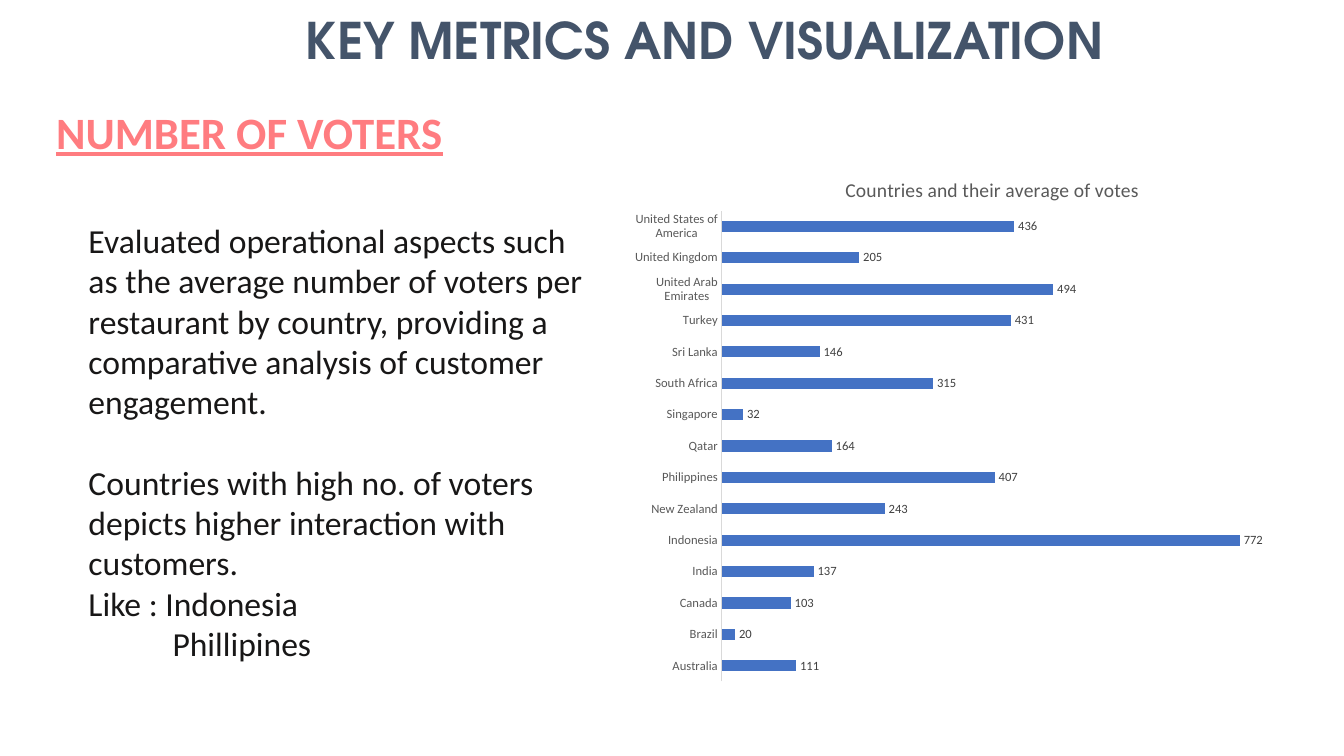
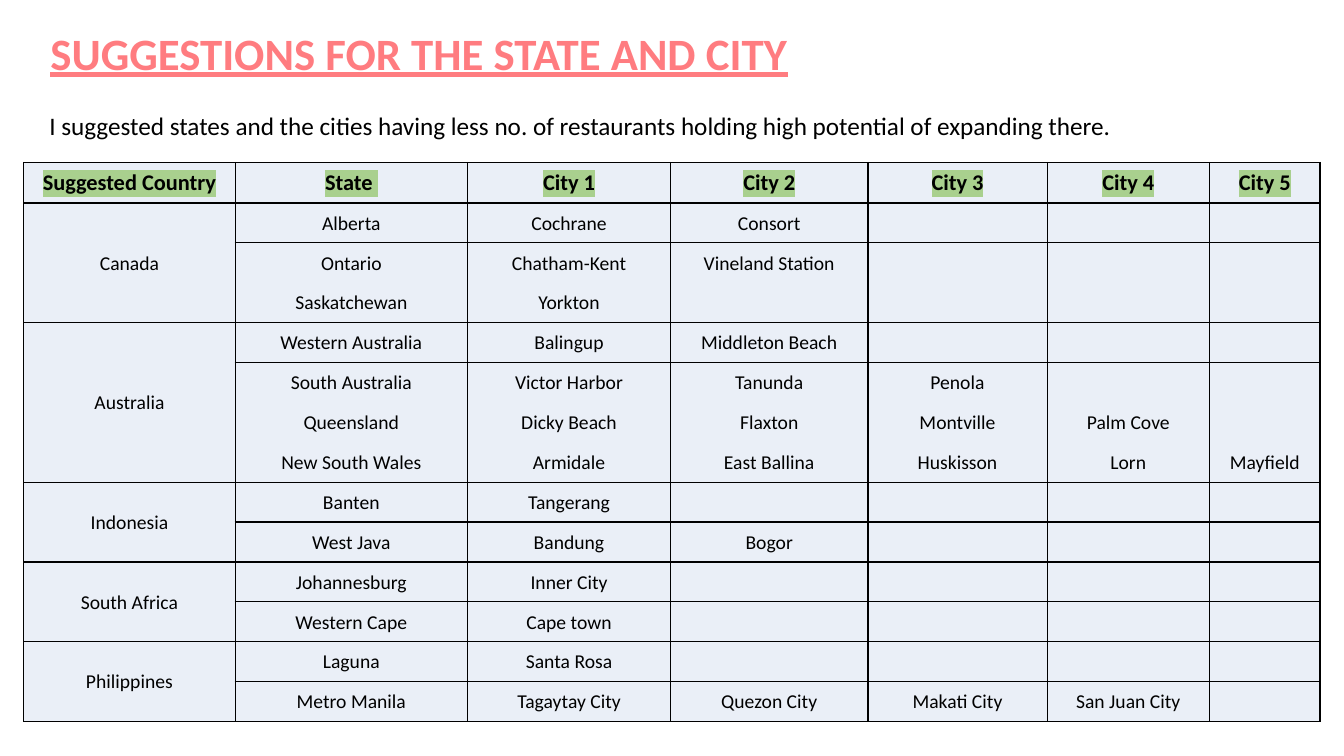
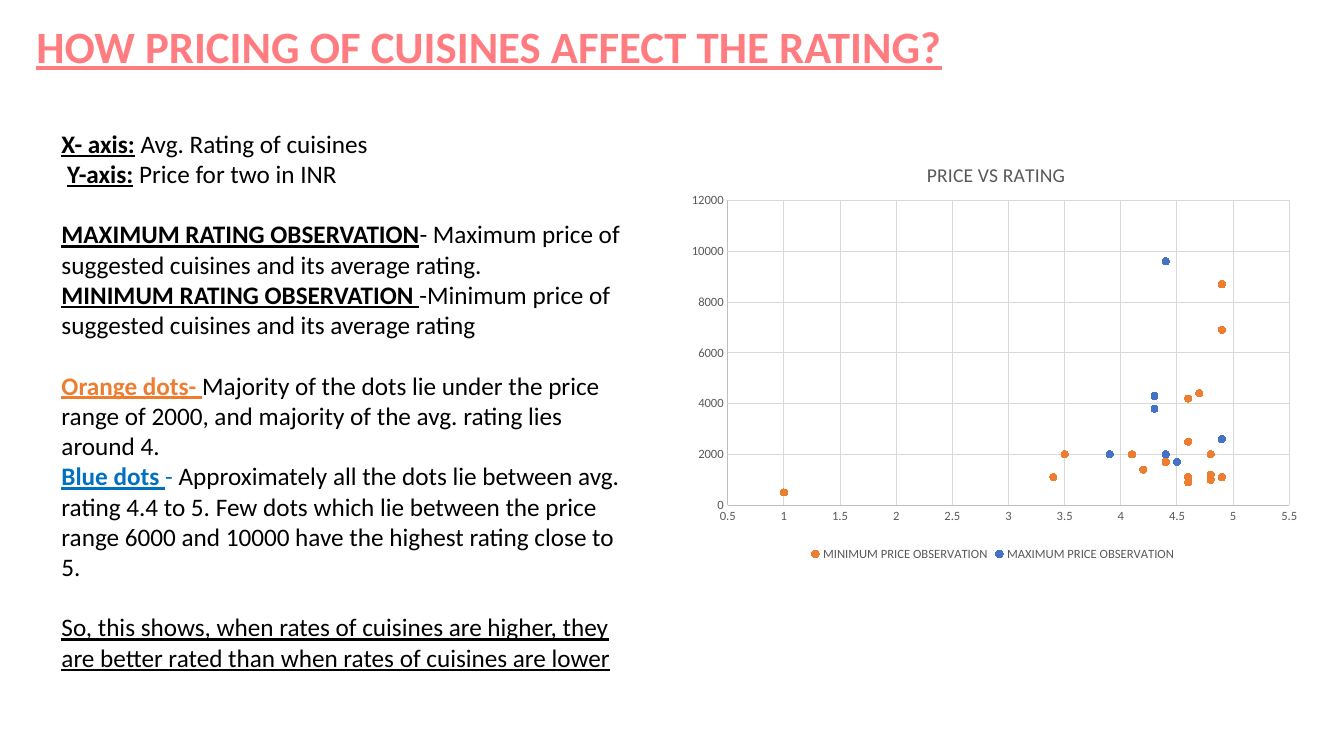
from lxml.etree import SubElement
from pptx import Presentation
from pptx.chart.data import CategoryChartData, XyChartData
from pptx.dml.color import RGBColor
from pptx.enum.chart import (XL_AXIS_CROSSES, XL_CHART_TYPE, XL_LABEL_POSITION, XL_LEGEND_POSITION,
                             XL_MARKER_STYLE, XL_TICK_MARK)
from pptx.enum.text import MSO_ANCHOR, MSO_AUTO_SIZE, PP_ALIGN
from pptx.oxml import parse_xml
from pptx.oxml.ns import nsdecls, qn
from pptx.util import Pt

COLORS = {
    "black": "000000", "ink": "181717", "navy": "44546A", "coral": "FF7C80",
    "orange": "ED7D31", "blue": "4472C4", "bright blue": "0070C0",
    "cell": "EAEFF7", "highlight": "A9D08E",
    "chart text": "595959", "label": "404040", "grid": "D9D9D9", "axis": "BFBFBF",
}
FONT = "Calibri"
DISPLAY_FONT = "TeX Gyre Adventor"
HEADING = {"size": 32, "color": "coral", "bold": True, "underline": True}
BOLD_LINE = {"bold": True, "underline": True}

VOTES = {
    "Australia": 111, "Brazil": 20, "Canada": 103, "India": 137, "Indonesia": 772,
    "New Zealand": 243, "Philippines": 407, "Qatar": 164, "Singapore": 32,
    "South Africa": 315, "Sri Lanka": 146, "Turkey": 431, "United Arab Emirates": 494,
    "United Kingdom": 205, "United States of America": 436,
}
TABLE_HEADER = ["Suggested Country", "State ", "City 1", "City 2", "City 3", "City 4", "City 5"]
SUGGESTIONS = {
    "Canada": [["Alberta", "Cochrane", "Consort"],
               ["Ontario", "Chatham-Kent", "Vineland Station"],
               ["Saskatchewan", "Yorkton"]],
    "Australia": [["Western Australia", "Balingup", "Middleton Beach"],
                  ["South Australia", "Victor Harbor", "Tanunda", "Penola"],
                  ["Queensland", "Dicky Beach", "Flaxton", "Montville", "Palm Cove"],
                  ["New South Wales", "Armidale", "East Ballina", "Huskisson", "Lorn", "Mayfield"]],
    "Indonesia": [["Banten", "Tangerang"], ["West Java", "Bandung", "Bogor"]],
    "South Africa": [["Johannesburg", "Inner City"], ["Western Cape", "Cape town"]],
    "Philippines": [["Laguna", "Santa Rosa"],
                    ["Metro Manila", "Tagaytay City", "Quezon City", "Makati City", "San Juan City"]],
}
MINIMUM_PRICES = [
    (4.4, 1700), (4.4, 1700), (4.6, 1100), (3.4, 1100), (4.1, 2000), (4.6, 4200), (4.6, 1100),
    (4.6, 900), (4.9, 1100), (3.5, 2000), (4.2, 1400), (4.7, 4400), (4.8, 1200), (4.9, 8700),
    (3.4, 1100), (1, 500), (4.6, 2500), (4.8, 2000), (4.8, 1000), (4.9, 6900)]
MAXIMUM_PRICES = [
    (4.4, 1700), (4.4, 1700), (3.9, 2000), (4.4, 9600), (4.3, 4300), (4.6, 4200), (4.6, 1100),
    (4.6, 900), (4.9, 1100), (4.9, 2600), (4.5, 1700), (4.7, 4400), (4.8, 1200), (4.9, 8700),
    (4.4, 9600), (4.4, 2000), (4.6, 2500), (4.8, 2000), (4.3, 3800), (4.9, 6900)]


# Text
def rgb(name):
    return RGBColor.from_string(COLORS[name])


def style_font(font, size, color="black", bold=False, underline=False, name=FONT):
    font.size, font.bold, font.underline, font.name = Pt(size), bold, underline, name
    font.color.rgb = rgb(color)


def add_run(paragraph, text, **style):
    run = paragraph.add_run()
    run.text = text
    style_font(run.font, **style)
    return run


def place(shape, box):
    shape.left, shape.top, shape.width, shape.height = (Pt(length) for length in box)
    frame = shape.text_frame
    frame.word_wrap = True
    frame.auto_size = MSO_AUTO_SIZE.SHAPE_TO_FIT_TEXT
    frame.vertical_anchor = MSO_ANCHOR.TOP
    return frame


def add_heading(shape, box, text, align=PP_ALIGN.LEFT, **style):
    paragraph = place(shape, box).paragraphs[0]
    paragraph.alignment = align
    add_run(paragraph, text, **(style or HEADING))


def fill_body(shape, box, paragraphs, **base):
    """Each paragraph is (gap before, left indent, [(text, style), ...])."""
    frame = place(shape, box)
    for index, (gap, indent, runs) in enumerate(paragraphs):
        paragraph = frame.add_paragraph() if index else frame.paragraphs[0]
        paragraph.space_before = Pt(gap)
        properties = paragraph._p.get_or_add_pPr()
        properties.set("marL", str(Pt(indent)))
        properties.set("indent", "0")
        SubElement(properties, qn("a:buNone"))
        for text, style in runs:
            add_run(paragraph, text, **{**base, **style})
    return frame


# Charts
def set_layout(parent, position, **fractions):
    layout = parent.find(qn("c:layout"))
    if layout is not None:
        parent.remove(layout)
    values = {"xMode": "edge", "yMode": "edge", **fractions}
    if "w" in fractions:
        values = {"layoutTarget": "inner", **values}
    parts = "".join(f'<c:{key} val="{value}"/>' for key, value in values.items())
    parent.insert(position, parse_xml(
        f'<c:layout {nsdecls("c")}><c:manualLayout>{parts}</c:manualLayout></c:layout>'))


def add_chart(slide, kind, box, data, title, title_at, plot_at):
    chart = slide.shapes.add_chart(kind, *(Pt(length) for length in box), data).chart
    style_font(chart.font, 10)
    chart.has_title = True
    add_run(chart.chart_title.text_frame.paragraphs[0], title, size=14, color="chart text")
    set_layout(chart.element.find(".//" + qn("c:title")), 1, x=title_at[0], y=title_at[1])
    set_layout(chart.element.find(".//" + qn("c:plotArea")), 0, **dict(zip("xywh", plot_at)))
    return chart


def style_axis(axis, line_color):
    axis.major_tick_mark = axis.minor_tick_mark = XL_TICK_MARK.NONE
    style_font(axis.tick_labels.font, 9, "chart text")
    axis.format.line.color.rgb = rgb(line_color)
    axis.format.line.width = Pt(0.75)


def add_votes_chart(slide, box):
    data = CategoryChartData(number_format="0")
    data.categories = list(VOTES)
    data.add_series("Series 1", list(VOTES.values()))
    chart = add_chart(slide, XL_CHART_TYPE.BAR_CLUSTERED, box, data,
                      "Countries and their average of votes", (0.29, 0.04), (0.12, 0.11, 0.76, 0.87))
    chart.has_legend = False
    style_axis(chart.category_axis, "grid")
    chart.value_axis.has_major_gridlines = False
    chart.value_axis.minimum_scale, chart.value_axis.maximum_scale = 0, 800
    chart.value_axis.visible = False
    plot = chart.plots[0]
    plot.gap_width = 182
    plot.vary_by_categories = False
    fill = plot.series[0].format.fill
    fill.solid()
    fill.fore_color.rgb = rgb("blue")
    plot.has_data_labels = True
    labels = plot.data_labels
    labels.show_value = True
    labels.position = XL_LABEL_POSITION.OUTSIDE_END
    labels.number_format, labels.number_format_is_linked = "0", False
    style_font(labels.font, 9, "label")


def add_price_chart(slide, box):
    data = XyChartData()
    for name, points in (("MINIMUM PRICE OBSERVATION", MINIMUM_PRICES),
                         ("MAXIMUM PRICE OBSERVATION", MAXIMUM_PRICES)):
        series = data.add_series(name)
        for rating, price in points:
            series.add_data_point(rating, price)
    chart = add_chart(slide, XL_CHART_TYPE.XY_SCATTER, box, data,
                      "PRICE VS RATING", (0.39, 0.05), (0.08, 0.15, 0.89, 0.71))
    for axis, low, high, step in ((chart.category_axis, 0.5, 5.5, 0.5),
                                  (chart.value_axis, 0, 12000, 2000)):
        style_axis(axis, "axis")
        axis.minimum_scale, axis.maximum_scale, axis.major_unit = low, high, step
        axis.crosses = XL_AXIS_CROSSES.MINIMUM
        axis.tick_labels.number_format = "General"
        axis.tick_labels.number_format_is_linked = False
        axis.has_major_gridlines = True
        axis.major_gridlines.format.line.color.rgb = rgb("grid")
        axis.major_gridlines.format.line.width = Pt(0.75)
    chart.plots[0].vary_by_categories = False
    for series, color in zip(chart.plots[0].series, ("orange", "blue")):
        series.format.line.fill.background()
        series.marker.style, series.marker.size = XL_MARKER_STYLE.CIRCLE, 5
        series.marker.format.fill.solid()
        series.marker.format.fill.fore_color.rgb = rgb(color)
        series.marker.format.line.color.rgb = rgb(color)
    chart.has_legend = True
    chart.legend.position = XL_LEGEND_POSITION.BOTTOM
    chart.legend.include_in_layout = False
    style_font(chart.legend.font, 9, "chart text")


# Table
def set_borders(cell, top, bottom):
    properties = cell._tc.get_or_add_tcPr()
    for side, drawn in (("L", True), ("R", True), ("T", top), ("B", bottom)):
        line = SubElement(properties, qn(f"a:ln{side}"), w=str(Pt(1)))
        if drawn:
            fill = SubElement(line, qn("a:solidFill"))
            SubElement(fill, qn("a:srgbClr"), val=COLORS["black"])
        else:
            SubElement(line, qn("a:noFill"))


def fill_cell(cell, text, top=True, bottom=True, header=False):
    set_borders(cell, top, bottom)
    cell.fill.solid()
    cell.fill.fore_color.rgb = rgb("cell")
    cell.vertical_anchor = MSO_ANCHOR.MIDDLE
    cell.margin_left = cell.margin_right = cell.margin_top = Pt(0.72)
    cell.margin_bottom = 0
    paragraph = cell.text_frame.paragraphs[0]
    paragraph.alignment = PP_ALIGN.CENTER
    if not text:
        return
    run = add_run(paragraph, text, size=16 if header else 14, bold=header)
    if header:
        run.font.fill  # the highlight must follow the text fill
        run._r.rPr.find(qn("a:solidFill")).addnext(parse_xml(
            f'<a:highlight {nsdecls("a")}><a:srgbClr val="{COLORS["highlight"]}"/></a:highlight>'))


def add_suggestions_table(slide, box):
    widths = [151, 166, 145, 141, 128, 116, 79]
    row_count = 1 + sum(len(states) for states in SUGGESTIONS.values())
    table = slide.shapes.add_table(row_count, len(widths), *(Pt(length) for length in box)).table
    table.first_row = table.horz_banding = False
    for column, width in zip(table.columns, widths):
        column.width = Pt(width)
    for index, row in enumerate(table.rows):
        row.height = Pt(28.5 if index else 29)
    for column, text in enumerate(TABLE_HEADER):
        fill_cell(table.cell(0, column), text, header=True)
    first = 1
    for country, states in SUGGESTIONS.items():
        last = len(states) - 1
        # Only the first and last state of a country are ruled off
        for offset, state in enumerate(states):
            row = first + offset
            fill_cell(table.cell(row, 0), "" if offset else country,
                      top=offset == 0, bottom=offset in (0, last))
            for column in range(1, len(widths)):
                text = state[column - 1] if column <= len(state) else ""
                fill_cell(table.cell(row, column), text,
                          top=offset < 2, bottom=offset in (0, last))
        table.cell(first, 0).merge(table.cell(first + last, 0))
        first += len(states)


# Slides
def build_voters_slide(slide):
    add_heading(slide.shapes.title, (46.8, 2.9, 913, 51), "KEY METRICS AND VISUALIZATION",
                PP_ALIGN.CENTER, size=36, color="navy", bold=True, name=DISPLAY_FONT)
    fill_body(slide.placeholders[1], (56, 153.4, 374, 327), [
        (0, 0, [("Evaluated operational aspects such as the average number of voters per restaurant "
                 "by country, providing a comparative analysis of customer engagement.", {})]),
        (28.8, 0, [("Countries with high no. of voters depicts higher interaction with customers.", {})]),
        (0, 0, [("Like : Indonesia", {})]),
        (0, 60, [("Phillipines", {})]),
    ], size=24, color="ink")
    add_heading(slide.shapes.add_textbox(0, 0, 0, 0), (33, 71.3, 808, 46), "NUMBER OF VOTERS")
    add_votes_chart(slide, (453.6, 108, 506, 386.6))


def build_suggestions_slide(slide):
    add_heading(slide.shapes.title, (28.8, 14.4, 804, 46), "SUGGESTIONS FOR THE STATE AND CITY")
    frame = fill_body(slide.placeholders[1], (10, 73.4, 950, 29.5), [
        (0, 18, [("I suggested states and the cities having less no. of restaurants holding high "
                  "potential of expanding there.", {})]),
    ], size=18)
    frame.paragraphs[0].line_spacing = 1.07
    frame.paragraphs[0].space_after = Pt(8)
    add_suggestions_table(slide, (17, 116, 926, 399.5))


def build_pricing_slide(slide):
    add_heading(slide.shapes.title, (18.7, 10, 808, 46), "HOW PRICING OF CUISINES AFFECT THE RATING?")
    gap = 21.6
    fill_body(slide.placeholders[1], (36.7, 87.8, 427, 399.6), [
        (0, 0, [("X- axis:", BOLD_LINE), (" Avg. Rating of cuisines", {})]),
        (0, 4, [("Y-axis:", BOLD_LINE), (" Price for two in INR", {})]),
        (gap, 0, [("MAXIMUM RATING OBSERVATION", BOLD_LINE),
                  ("- Maximum price of suggested cuisines and its average rating.", {})]),
        (0, 0, [("MINIMUM RATING OBSERVATION ", BOLD_LINE),
                ("-Minimum price of suggested cuisines and its average rating", {})]),
        (gap, 0, [("Orange dots- ", {"color": "orange", **BOLD_LINE}),
                  ("Majority of the dots lie under the price range of 2000, and majority of the "
                   "avg. rating lies around 4.", {})]),
        (0, 0, [("Blue dots ", {"color": "bright blue", **BOLD_LINE}), ("- ", {"color": "bright blue"}),
                ("Approximately all the dots lie between avg. rating 4.4 to 5. Few dots which lie "
                 "between the price range 6000 and 10000 have the highest rating close to 5.", {})]),
        (gap, 0, [("So, this shows, when rates of cuisines are higher, they are better rated than "
                   "when rates of cuisines are lower", {"underline": True})]),
    ], size=18)
    add_price_chart(slide, (483.8, 97.2, 450.7, 306.7))


def main():
    presentation = Presentation()
    presentation.slide_width, presentation.slide_height = Pt(960), Pt(540)
    layout = presentation.slide_layouts.get_by_name("Title and Content")
    for build in (build_voters_slide, build_suggestions_slide, build_pricing_slide):
        build(presentation.slides.add_slide(layout))
    presentation.save("out.pptx")


if __name__ == "__main__":
    main()
